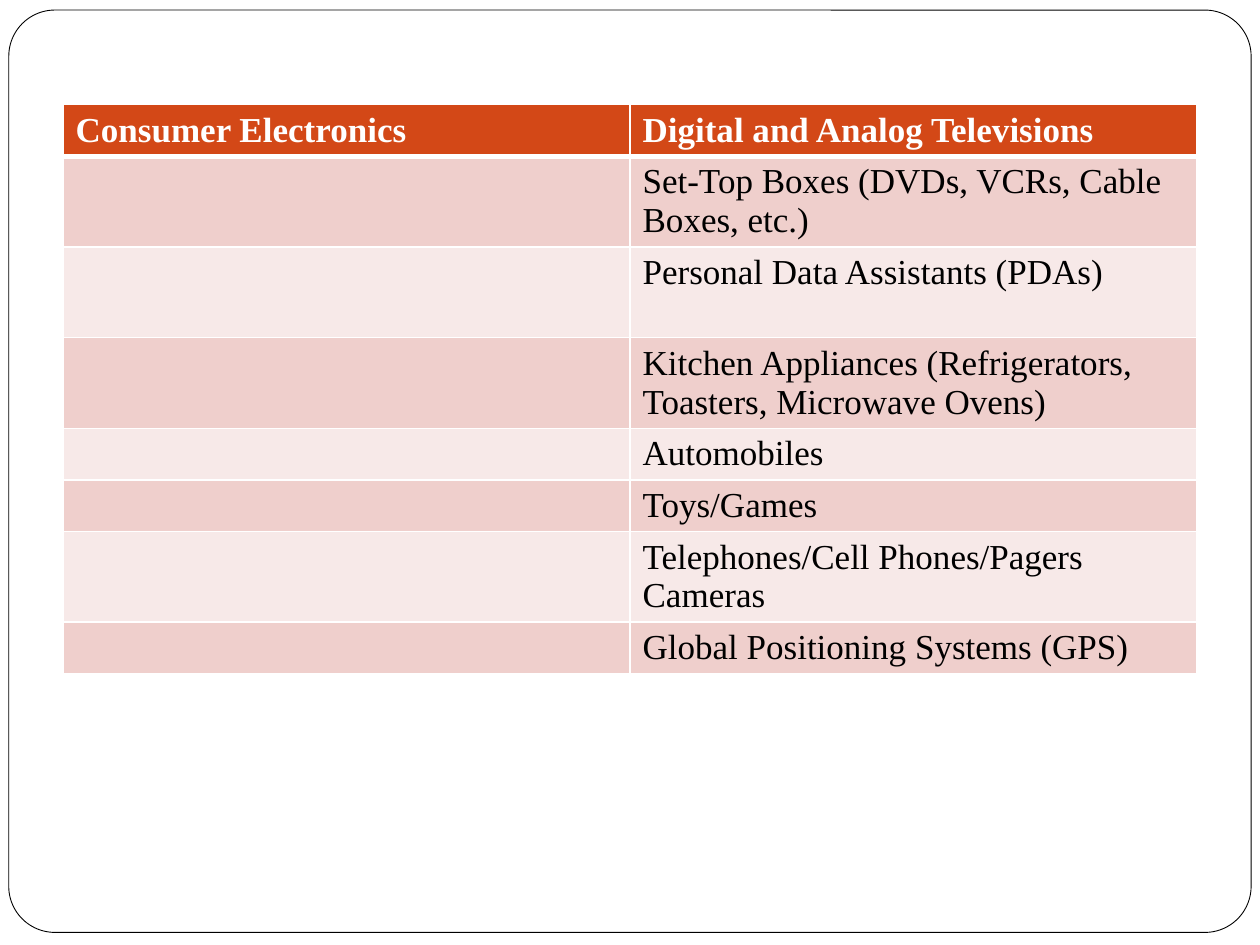
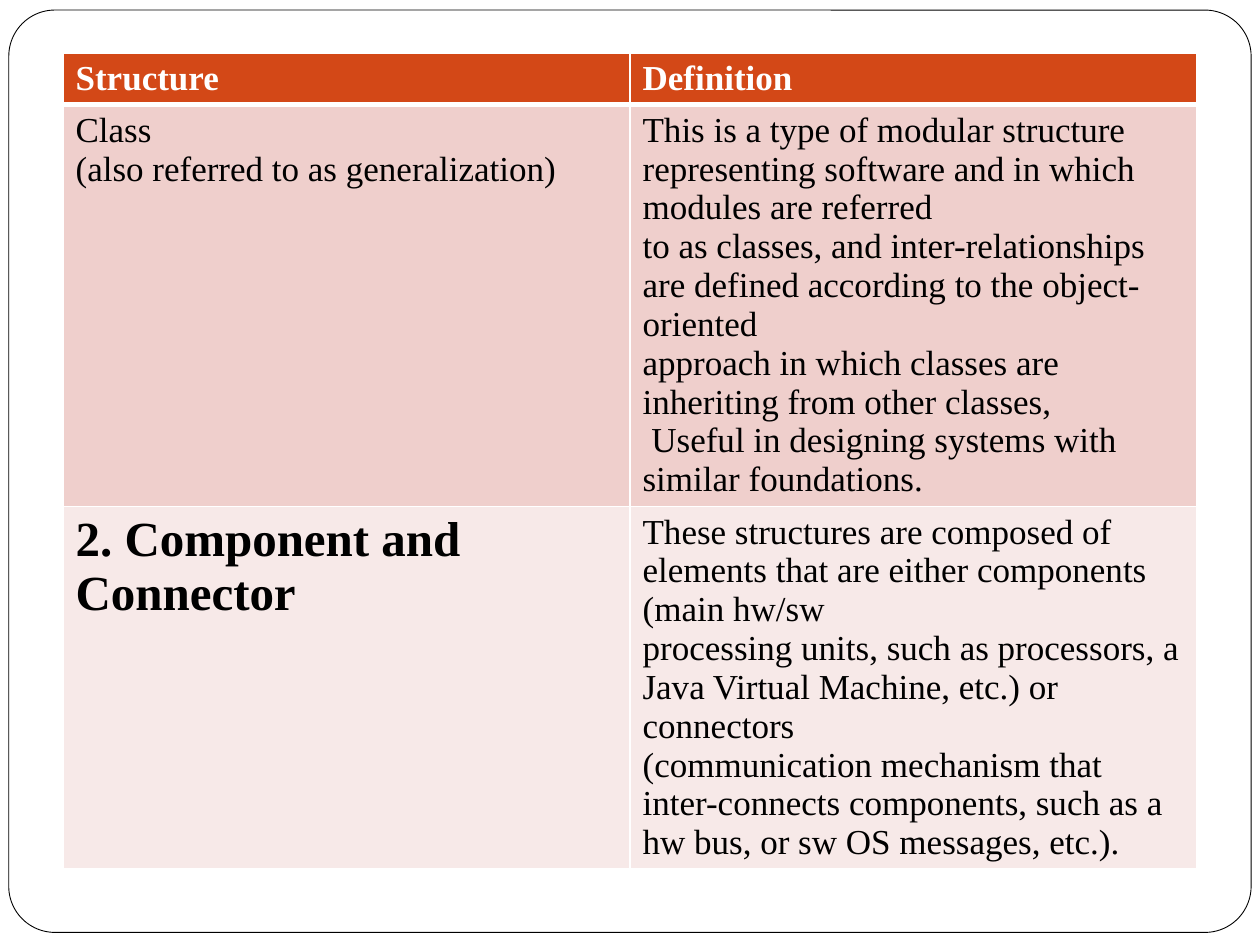
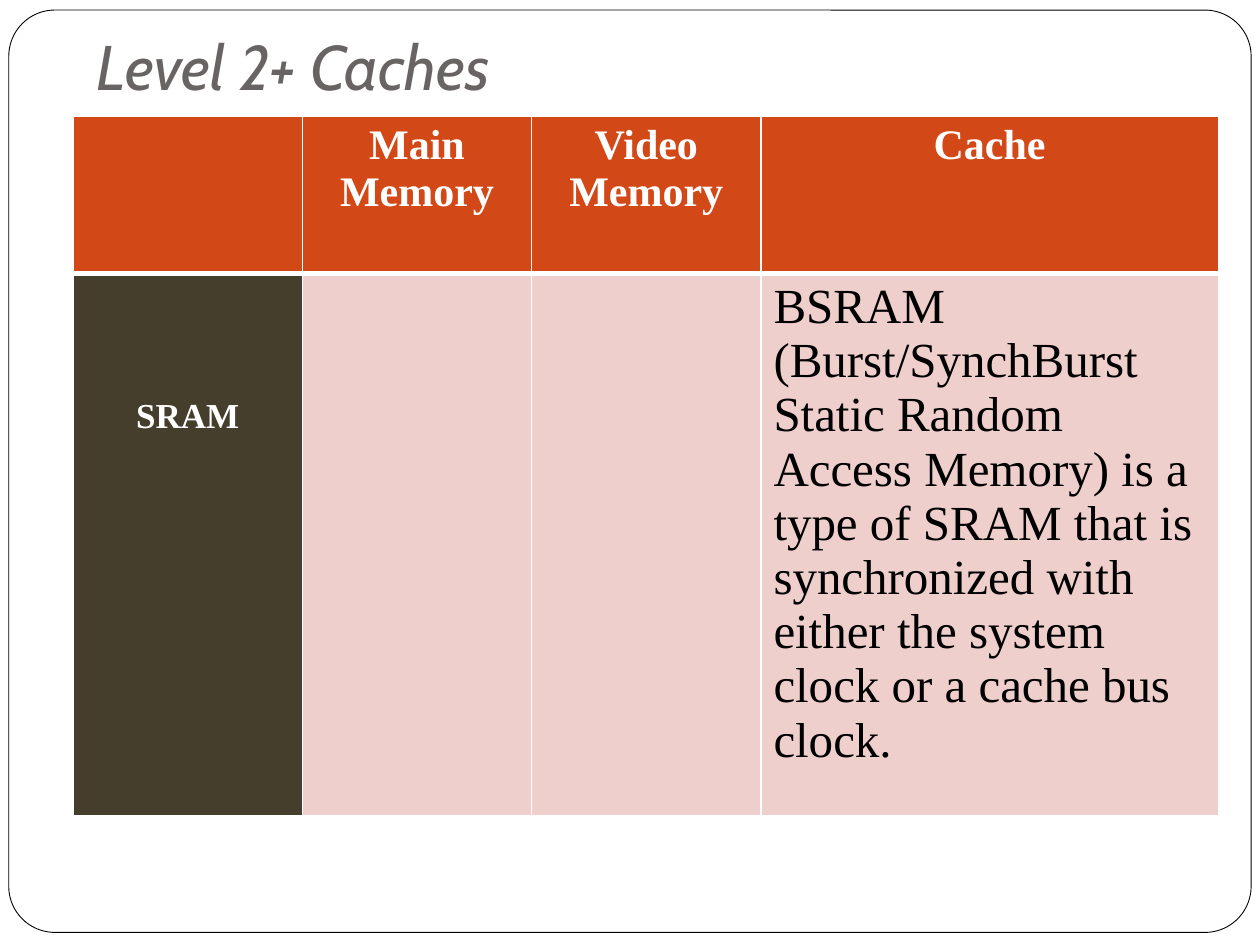
from dataclasses import dataclass

from lxml.etree import SubElement
from pptx import Presentation
from pptx.dml.color import RGBColor
from pptx.enum.shapes import MSO_SHAPE
from pptx.enum.text import MSO_ANCHOR, PP_ALIGN
from pptx.oxml.ns import qn
from pptx.slide import Slide
from pptx.table import _Cell
from pptx.text.text import TextFrame
from pptx.util import Inches, Pt

WHITE = "FFFFFF"
BLACK = "000000"
HEADER = "D34817"
BANDS = ("EFCFCC", "F7E9E8")
LABEL = "463E2C"
TITLE = "696464"
BODY_FONT = "Times New Roman"
TITLE_FONT = "Cabin"


@dataclass(frozen=True)
class Entry:
    """Content of one table cell and its departures from the row's style."""

    text: str = ""
    size: int = 20
    bold: bool = False
    color: str = BLACK
    fill: str = ""
    centered: bool = False
    top_margin: float = 0.05


@dataclass(frozen=True)
class Grid:
    """Position, sizes and rows of one table."""

    left: float
    top: float
    widths: tuple[float, ...]
    heights: tuple[float, ...]
    rows: tuple[tuple[Entry, ...], ...]


def header(*labels: str, size: int = 20, centered: bool = False) -> tuple[Entry, ...]:
    """Return the entries of a header row."""
    return tuple(Entry(label, size, True, WHITE, HEADER, centered) for label in labels)


PRODUCTS = (
    "Set-Top Boxes (DVDs, VCRs, Cable Boxes, etc.)",
    "Personal Data Assistants (PDAs)",
    "Kitchen Appliances (Refrigerators, Toasters, Microwave Ovens)",
    "Automobiles",
    "Toys/Games",
    "Telephones/Cell Phones/Pagers\nCameras",
    "Global Positioning Systems (GPS)",
)
CLASS_DEFINITION = (
    "This is a type of modular structure representing software and in which modules are referred\n"
    "to as classes, and inter-relationships are defined according to the object-oriented\n"
    "approach in which classes are inheriting from other classes,\n"
    " Useful in designing systems with similar foundations."
)
CONNECTOR_DEFINITION = (
    "These structures are composed of elements that are either components (main hw/sw\n"
    "processing units, such as processors, a Java Virtual Machine, etc.) or connectors\n"
    "(communication mechanism that inter-connects components, such as a hw bus, "
    "or sw OS messages, etc.)."
)
BSRAM = (
    "BSRAM (Burst/SynchBurst Static Random Access Memory) is a type of SRAM that is "
    "synchronized with either the system clock or a cache bus clock."
)

ELECTRONICS = Grid(
    0.5, 0.83, (4.5, 4.5), (0.41, 0.72, 0.72, 0.72, 0.41, 0.41, 0.72, 0.41),
    (header("Consumer Electronics", "Digital and Analog Televisions"),
     *((Entry(), Entry(product)) for product in PRODUCTS)),
)
STRUCTURES = Grid(
    0.5, 0.42, (4.5, 4.5), (0.41, 3.19, 2.87),
    (header("Structure", "Definition"),
     (Entry("Class\n(also referred to as generalization)"), Entry(CLASS_DEFINITION)),
     (Entry("2. Component and Connector", 28, True), Entry(CONNECTOR_DEFINITION))),
)
CACHES = Grid(
    0.58, 0.92, (1.82, 1.82, 1.82, 3.63), (1.25, 3.97),
    (header("", "Main Memory", "Video Memory", "Cache", size=24, centered=True),
     (Entry("SRAM", 20, True, WHITE, LABEL, True, 0.98), Entry(), Entry(), Entry(BSRAM, 28))),
)


def rgb(color: str) -> RGBColor:
    """Turn a hex string into a colour."""
    return RGBColor.from_string(color)


def format_text(frame: TextFrame, font: str, size: int, color: str,
                bold: bool = False, italic: bool = False, centered: bool = False) -> None:
    """Style every run of a text frame."""
    for para in frame.paragraphs:
        para.alignment = PP_ALIGN.CENTER if centered else PP_ALIGN.LEFT
        for span in para.runs:
            span.font.name = font
            span.font.size = Pt(size)
            span.font.bold = bold
            span.font.italic = italic
            span.font.color.rgb = rgb(color)


def add_borders(cell: _Cell, top: int, bottom: int) -> None:
    """Draw white borders round a cell, with widths in points."""
    properties = cell._tc.get_or_add_tcPr()
    for side, width in (("L", 1), ("R", 1), ("T", top), ("B", bottom)):
        line = SubElement(properties, qn(f"a:ln{side}"), w=str(Pt(width)))
        fill = SubElement(line, qn("a:solidFill"))
        SubElement(fill, qn("a:srgbClr"), val=WHITE)


def fill_cell(cell: _Cell, entry: Entry, row: int) -> None:
    """Write and style one cell."""
    add_borders(cell, top=3 if row == 1 else 1, bottom=3 if row == 0 else 1)
    cell.fill.solid()
    cell.fill.fore_color.rgb = rgb(entry.fill or BANDS[(row - 1) % 2])
    cell.margin_top = Inches(entry.top_margin)
    cell.text_frame.text = entry.text
    format_text(cell.text_frame, BODY_FONT, entry.size, entry.color, entry.bold,
                centered=entry.centered)


def add_grid(page: Slide, grid: Grid) -> None:
    """Add a table with a header row and banded body rows."""
    table = page.shapes.add_table(
        len(grid.heights), len(grid.widths), Inches(grid.left), Inches(grid.top),
        Inches(sum(grid.widths)), Inches(sum(grid.heights))).table
    table.horz_banding = False
    for column, width in zip(table.columns, grid.widths):
        column.width = Inches(width)
    for number, (row, height, entries) in enumerate(zip(table.rows, grid.heights, grid.rows)):
        row.height = Inches(height)
        for cell, entry in zip(row.cells, entries):
            fill_cell(cell, entry, number)


def add_title(page: Slide, text: str) -> None:
    """Add the slide title."""
    box = page.shapes.add_textbox(Inches(0.67), Inches(0.25), Inches(8.5), Inches(0.67))
    frame = box.text_frame
    frame.word_wrap = True
    frame.vertical_anchor = MSO_ANCHOR.BOTTOM
    frame.margin_bottom = Inches(0.1)
    frame.text = text
    format_text(frame, TITLE_FONT, 36, TITLE, italic=True)


def add_page(deck: Presentation, grid: Grid, title: str = "") -> None:
    """Add a framed slide with a table and, if given, a title."""
    page = deck.slides.add_slide(deck.slide_layouts[6])
    frame = page.shapes.add_shape(
        MSO_SHAPE.ROUNDED_RECTANGLE, Inches(0.07), Inches(0.08), Inches(9.86), Inches(7.32))
    frame.adjustments[0] = 0.05
    frame.shadow.inherit = False
    frame.fill.solid()
    frame.fill.fore_color.rgb = rgb(WHITE)
    frame.line.color.rgb = rgb(BLACK)
    frame.line.width = Pt(0.5)
    if title:
        add_title(page, title)
    add_grid(page, grid)


def main() -> None:
    """Build and save the deck."""
    deck = Presentation()
    deck.slide_width, deck.slide_height = Inches(10), Inches(7.5)
    add_page(deck, ELECTRONICS)
    add_page(deck, STRUCTURES)
    add_page(deck, CACHES, "Level 2+ Caches")
    deck.save("out.pptx")


if __name__ == "__main__":
    main()
